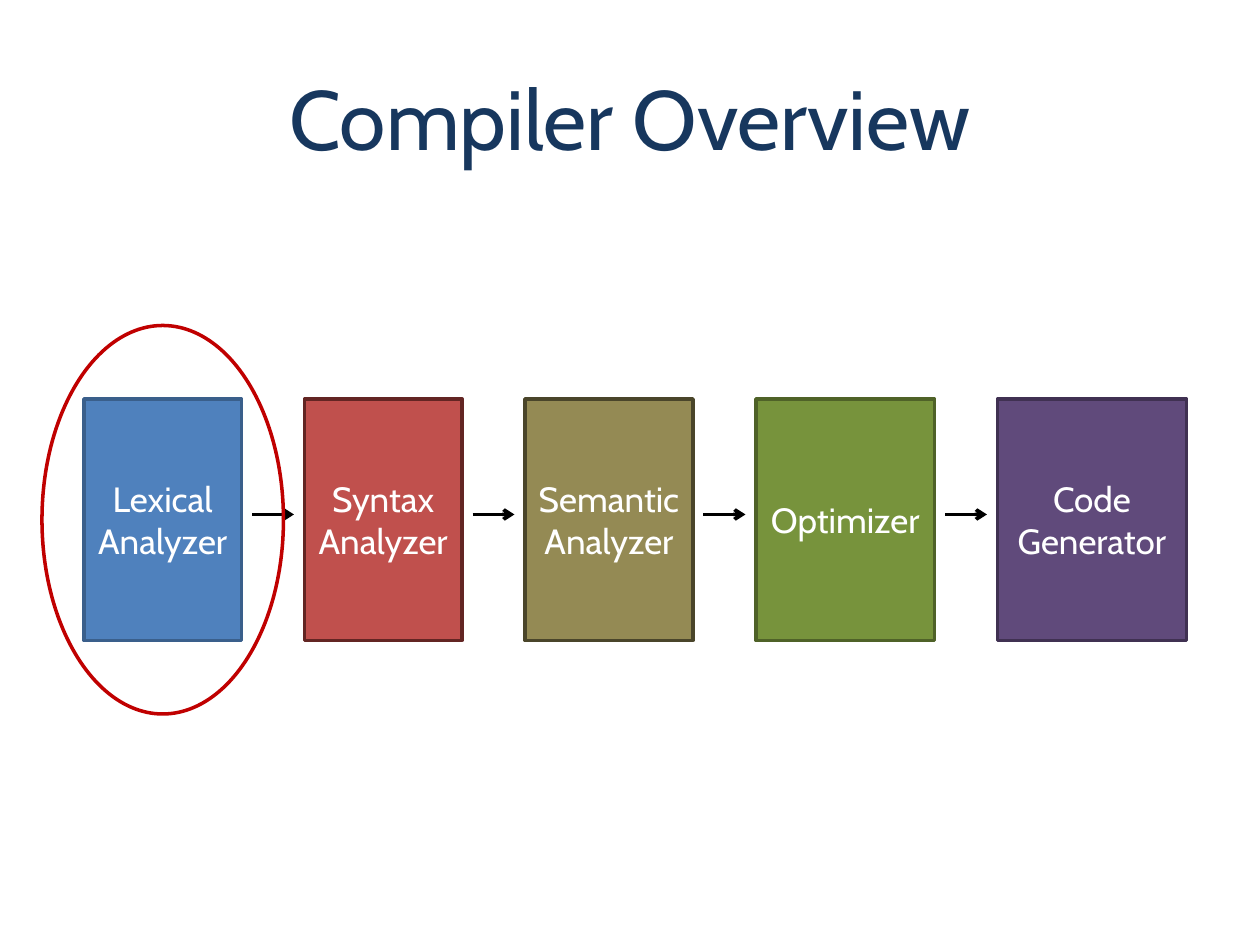
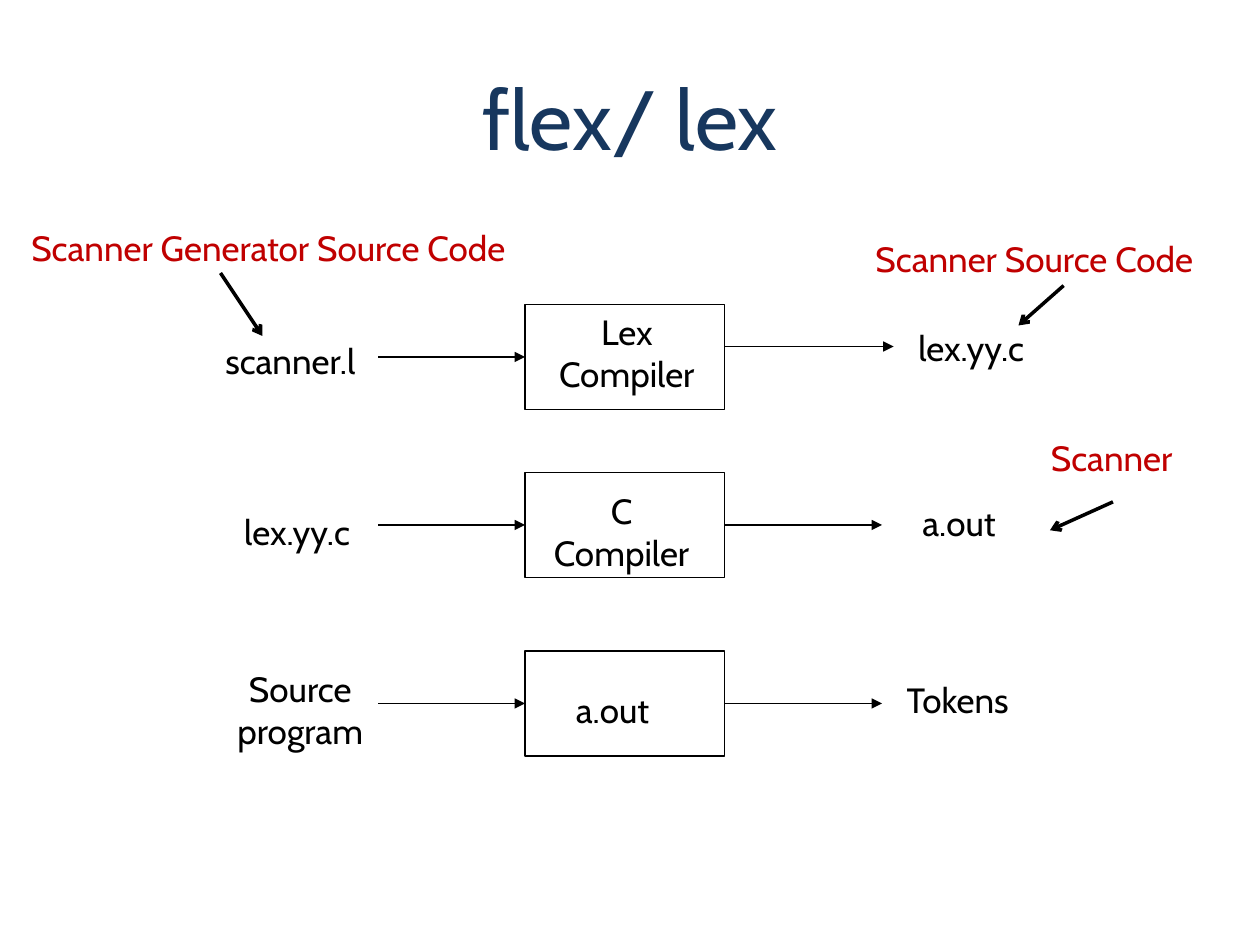
from lxml import etree
from pptx import Presentation
from pptx import util as u
from pptx.dml.color import RGBColor
from pptx.enum import shapes, text
from pptx.oxml.ns import qn

PX = 7620  # EMU; 120 px to the inch
FONT = "Cabin"
NAVY, RED, BLACK, WHITE = "17375E", "C00000", "000000", "FFFFFF"
TITLE_AREA = (60, 36, 1080, 150)
TITLE_ONLY = 5
LINE_HEIGHT, TEXT_INSETS = 40, 12

# Name, width, fill and outline of each compiler stage
STAGES = [
    ("Lexical\nAnalyzer", 150, "4F81BD", "3A5F8B"),
    ("Syntax\nAnalyzer", 150, "C0504D", "632523"),
    ("Semantic\nAnalyzer", 160, "948A54", "4A452A"),
    ("Optimizer", 170, "77933C", "4F6228"),
    ("Code\nGenerator", 180, "604A7B", "403152"),
]
STAGE_LEFT, STAGE_TOP, STAGE_HEIGHT, STAGE_GAP = 80, 380, 230, 60
STAGE_ARROW_Y, ARROW_MARGIN = 490, 10

TOOL_LEFT, TOOL_WIDTH, TOOL_HEIGHT = 500, 190, 100
INPUT_ARROW_LEFT = 360
# Top of each tool box, then the start height and end point of its output arrow
TOOL_ROWS = [(290, 330, 851), (450, 500, 840), (620, 670, 840)]
# Left, top, width and wording of each label
STEP_LABELS = [
    (190, 317, 173, "scanner.l"),
    (510, 290, 174, "Lex\nCompiler"),
    (852, 305, 146, "lex.yy.c"),
    (210, 480, 146, "lex.yy.c"),
    (505, 460, 174, "C\nCompiler"),
    (859, 472, 109, "a.out"),
    (203, 630, 166, "Source\nprogram"),
    (529, 650, 109, "a.out"),
    (844, 640, 136, "Tokens"),
]
# Left, top, width and wording of each callout, then its arrow's two ends
CALLOUTS = [
    (18, 210, 562, "Scanner Generator Source Code", (210, 260), (250, 320)),
    (822, 220, 382, "Scanner Source Code", (1013, 272), (970, 310)),
    (989, 410, 161, "Scanner", (1060, 478), (1000, 505)),
]


def px(*lengths):
    return [u.Emu(length * PX) for length in lengths]


def color(hex_string):
    return RGBColor.from_string(hex_string)


def format_text(frame, size, hex_color, align):
    for para in frame.paragraphs:
        para.alignment = align
        for span in para.runs:
            span.font.name = FONT
            span.font.size = u.Pt(size)
            span.font.color.rgb = color(hex_color)


def add_titled_page(deck, title):
    page = deck.slides.add_slide(deck.slide_layouts[TITLE_ONLY])
    box = page.shapes.title
    box.left, box.top, box.width, box.height = px(*TITLE_AREA)
    box.text_frame.text = title
    box.text_frame.vertical_anchor = text.MSO_ANCHOR.MIDDLE
    format_text(box.text_frame, 48, NAVY, text.PP_ALIGN.CENTER)
    return page


def add_outline(page, kind, area, line, weight, fill=None):
    """Add a preset shape, left unfilled when no fill is given."""
    shape = page.shapes.add_shape(kind, *px(*area))
    shape.shadow.inherit = False
    if fill:
        shape.fill.solid()
        shape.fill.fore_color.rgb = color(fill)
    else:
        shape.fill.background()
    shape.line.color.rgb = color(line)
    shape.line.width = u.Pt(weight)
    return shape


def add_label(page, left, top, width, wording, hex_color=BLACK,
              align=text.PP_ALIGN.CENTER):
    height = TEXT_INSETS + LINE_HEIGHT * len(wording.split("\n"))
    box = page.shapes.add_textbox(*px(left, top, width, height))
    box.text_frame.word_wrap = False
    box.text_frame.text = wording
    format_text(box.text_frame, 20, hex_color, align)


def add_arrow(page, start, end, weight, head):
    arrow = page.shapes.add_connector(
        shapes.MSO_CONNECTOR.STRAIGHT, *px(*start, *end))
    arrow.line.color.rgb = color(BLACK)
    arrow.line.width = u.Pt(weight)
    line = arrow.line._get_or_add_ln()
    etree.SubElement(line, qn("a:tailEnd"), type=head)
    etree.SubElement(arrow._element.spPr, qn("a:effectLst"))


def add_stage(page, left, name, width, fill, line):
    area = (left, STAGE_TOP, width, STAGE_HEIGHT)
    stage = add_outline(page, shapes.MSO_SHAPE.RECTANGLE, area, line, 2, fill)
    stage.text_frame.text = name
    stage.text_frame.vertical_anchor = text.MSO_ANCHOR.MIDDLE
    format_text(stage.text_frame, 20, WHITE, text.PP_ALIGN.CENTER)


def build_overview(deck):
    page = add_titled_page(deck, "Compiler Overview")
    left = STAGE_LEFT
    for index, (name, width, fill, line) in enumerate(STAGES):
        if index:
            add_arrow(page, (left - STAGE_GAP + ARROW_MARGIN, STAGE_ARROW_Y),
                      (left - ARROW_MARGIN, STAGE_ARROW_Y), 2, "arrow")
        add_stage(page, left, name, width, fill, line)
        left += width + STAGE_GAP
    add_outline(page, shapes.MSO_SHAPE.OVAL, (40, 310, 230, 370), RED, 2)


def build_lex_flow(deck):
    page = add_titled_page(deck, "flex/ lex")
    for top, output_y, output_end in TOOL_ROWS:
        add_outline(page, shapes.MSO_SHAPE.RECTANGLE,
                    (TOOL_LEFT, top, TOOL_WIDTH, TOOL_HEIGHT), BLACK, 0.75)
        middle = top + TOOL_HEIGHT // 2
        add_arrow(page, (INPUT_ARROW_LEFT, middle), (TOOL_LEFT, middle),
                  0.75, "triangle")
        add_arrow(page, (TOOL_LEFT + TOOL_WIDTH, output_y),
                  (output_end, output_y), 0.75, "triangle")
    for label in STEP_LABELS:
        add_label(page, *label)
    for left, top, width, wording, start, end in CALLOUTS:
        add_label(page, left, top, width, wording, RED, text.PP_ALIGN.LEFT)
        add_arrow(page, start, end, 2, "arrow")


def main():
    deck = Presentation()
    deck.slide_width, deck.slide_height = px(1200, 900)
    build_overview(deck)
    build_lex_flow(deck)
    deck.save("out.pptx")


if __name__ == "__main__":
    main()
